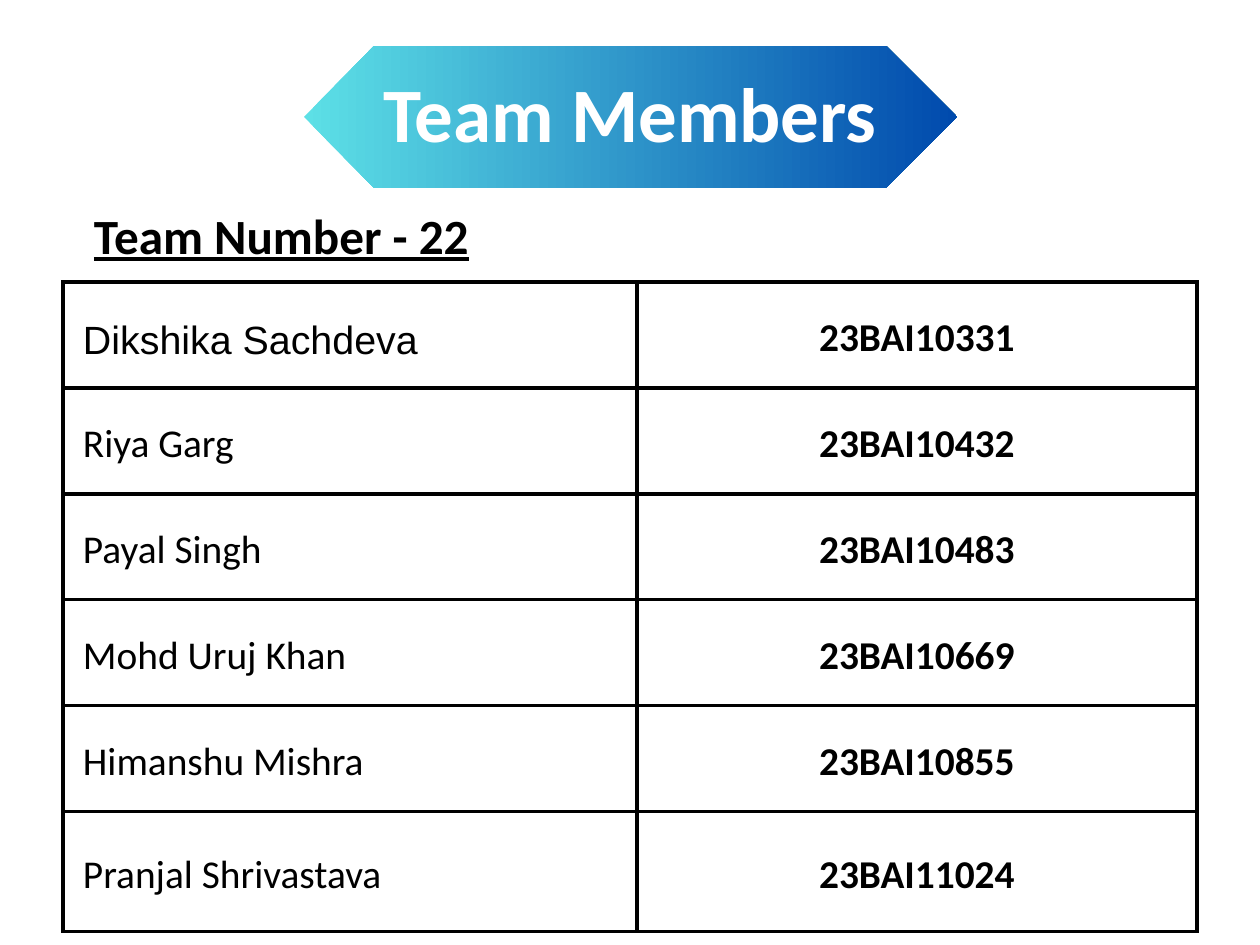
import pptx
import pptx.util
import pptx.dml.color
import pptx.enum.text
import pptx.oxml
import pptx.oxml.ns

PX = 7743
Pt = pptx.util.Pt
ALIGN = pptx.enum.text.PP_ALIGN
MIDDLE = pptx.enum.text.MSO_ANCHOR.MIDDLE


def rgb(color):
    return pptx.dml.color.RGBColor.from_string(color)


def write(tf, text, size, spacing, color, bold, align, name="Calibri"):
    tf.word_wrap = True
    p = tf.paragraphs[0]
    p.text = text
    p.alignment = align
    p.line_spacing = Pt(spacing)
    p.font.size = Pt(size)
    p.font.name = name
    p.font.bold = bold
    p.font.color.rgb = rgb(color)
    return p


prs = pptx.Presentation()
prs.slide_width = 1260 * PX
prs.slide_height = 945 * PX
s = prs.slides.add_slide(prs.slide_layouts[5])

title = s.shapes.title
title.left, title.top, title.width, title.height = [v * PX for v in (63, 28, 1134, 167)]
tf = title.text_frame
tf.margin_left = tf.margin_right = tf.margin_top = tf.margin_bottom = 0
tf.auto_size = pptx.enum.text.MSO_AUTO_SIZE.NONE
tf.vertical_anchor = MIDDLE
write(tf, "Team Members", 46.9, 56.3, "FFFFFF", True, ALIGN.CENTER)

fb = s.shapes.build_freeform(886, 46, scale=PX)
fb.add_line_segments([(374, 46), (304, 117), (374, 188), (886, 188), (957, 117)], close=True)
banner = fb.convert_to_shape()
banner.shadow.inherit = False
banner.line.fill.background()
banner.fill.gradient()
banner.fill.gradient_angle = 0
for stop, color in zip(banner.fill.gradient_stops, ("5DE0E6", "004AAD")):
    stop.color.rgb = rgb(color)
title._element.addprevious(banner._element)

sp = s.shapes.add_textbox(94 * PX, 205 * PX, 1134 * PX, 60 * PX)
tf = sp.text_frame
tf.margin_left = tf.margin_right = tf.margin_top = tf.margin_bottom = 0
p = write(tf, "Team Number - 22", 30, 36, "000000", True, ALIGN.LEFT)
p.font.underline = True

members = [
    ("Dikshika Sachdeva", "23BAI10331"),
    ("Riya Garg", "23BAI10432"),
    ("Payal Singh", "23BAI10483"),
    ("Mohd Uruj Khan", "23BAI10669"),
    ("Himanshu Mishra", "23BAI10855"),
    ("Pranjal Shrivastava", "23BAI11024"),
]
table = s.shapes.add_table(len(members), 2, 63 * PX, 282 * PX, 1134 * PX, 652 * PX).table
table.first_row = False
table.horz_banding = False
table.columns[0].width = 574 * PX
table.columns[1].width = 560 * PX

for i, member in enumerate(members):
    table.rows[i].height = (120 if i == len(members) - 1 else 106) * PX
    for j, text in enumerate(member):
        cell = table.cell(i, j)
        cell.vertical_anchor = MIDDLE
        cell.margin_left = cell.margin_right = cell.margin_top = cell.margin_bottom = 20 * PX
        write(cell.text_frame, text, 24, 33.6, "000000", j == 1,
              ALIGN.CENTER if j else ALIGN.LEFT, "Arial" if i == j == 0 else "Calibri")
        tcPr = cell._tc.get_or_add_tcPr()
        for side in ("lnL", "lnR", "lnT", "lnB"):
            tcPr.append(pptx.oxml.parse_xml(
                f'<a:{side} {pptx.oxml.ns.nsdecls("a")} w="{Pt(2.25)}"><a:solidFill>'
                f'<a:srgbClr val="000000"/></a:solidFill></a:{side}>'))
        cell.fill.background()

prs.save("out.pptx")
